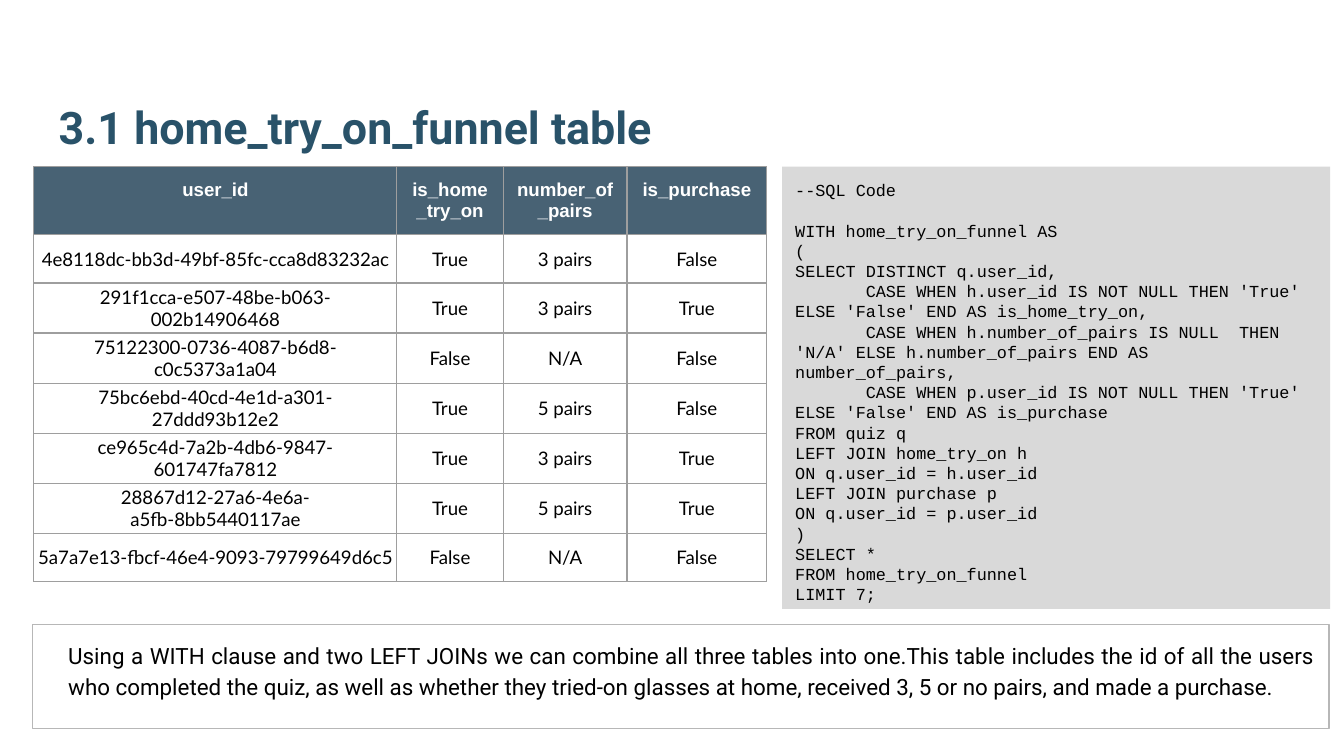
from dataclasses import dataclass

from lxml import etree
from pptx import Presentation
from pptx.dml.color import RGBColor
from pptx.enum.shapes import MSO_SHAPE
from pptx.enum.text import MSO_ANCHOR, MSO_AUTO_SIZE, PP_ALIGN
from pptx.oxml.ns import qn
from pptx.util import Cm, Pt

RECTANGLE = MSO_SHAPE.RECTANGLE
TOP, MIDDLE, BOTTOM = MSO_ANCHOR.TOP, MSO_ANCHOR.MIDDLE, MSO_ANCHOR.BOTTOM
LEFT, CENTER, JUSTIFY = PP_ALIGN.LEFT, PP_ALIGN.CENTER, PP_ALIGN.JUSTIFY
TITLE_ONLY = 5


@dataclass(frozen=True)
class TextStyle:
    font: str
    size: float
    color: str = "000000"
    bold: bool = False
    align: PP_ALIGN = LEFT


@dataclass(frozen=True)
class Theme:
    title: TextStyle = TextStyle("Roboto", 24, "295269", True)
    header: TextStyle = TextStyle("Arial", 10, "FFFFFF", True, CENTER)
    cell: TextStyle = TextStyle("Lato", 10, align=CENTER)
    code: TextStyle = TextStyle("Courier New", 9)
    note: TextStyle = TextStyle("Roboto", 12, align=JUSTIFY)
    header_fill: str = "204056"
    header_opacity: int = 82
    grid: str = "9E9E9E"
    code_fill: str = "D9D9D9"
    note_line: str = "B7B7B7"
    line_width: float = 0.75


@dataclass(frozen=True)
class Box:
    """Position and size in centimetres."""
    left: float
    top: float
    width: float
    height: float

    def lengths(self) -> tuple:
        return Cm(self.left), Cm(self.top), Cm(self.width), Cm(self.height)


THEME = Theme()
INSET, CELL_INSET = 0.25, 0.05
TITLE_BOX = Box(0.86, 0.81, 23.67, 2.34)
CODE_BOX = Box(14.78, 3.15, 10.36, 8.36)
NOTE_BOX = Box(0.61, 11.81, 24.51, 1.96)
TABLE_LEFT, TABLE_TOP = 0.64, 3.15
COLUMN_WIDTHS = (6.86, 2.01, 2.34, 2.64)
HEADER_HEIGHT, ROW_HEIGHT = 1.12, 0.91

TITLE = "3.1 home_try_on_funnel table"
HEADERS = ("user_id", "is_home_try_on", "number_of_pairs", "is_purchase")
ROWS = (
    ("4e8118dc-bb3d-49bf-85fc-cca8d83232ac", "True", "3 pairs", "False"),
    ("291f1cca-e507-48be-b063-002b14906468", "True", "3 pairs", "True"),
    ("75122300-0736-4087-b6d8-c0c5373a1a04", "False", "N/A", "False"),
    ("75bc6ebd-40cd-4e1d-a301-27ddd93b12e2", "True", "5 pairs", "False"),
    ("ce965c4d-7a2b-4db6-9847-601747fa7812", "True", "3 pairs", "True"),
    ("28867d12-27a6-4e6a-a5fb-8bb5440117ae", "True", "5 pairs", "True"),
    ("5a7a7e13-fbcf-46e4-9093-79799649d6c5", "False", "N/A", "False"),
)
CODE = """--SQL Code
WITH home_try_on_funnel AS
(
SELECT DISTINCT q.user_id,
       CASE WHEN h.user_id IS NOT NULL THEN 'True' ELSE 'False' END AS is_home_try_on,
       CASE WHEN h.number_of_pairs IS NULL  THEN 'N/A' ELSE h.number_of_pairs END AS number_of_pairs,
       CASE WHEN p.user_id IS NOT NULL THEN 'True' ELSE 'False' END AS is_purchase
FROM quiz q
LEFT JOIN home_try_on h
ON q.user_id = h.user_id
LEFT JOIN purchase p
ON q.user_id = p.user_id
)
SELECT *
FROM home_try_on_funnel
LIMIT 7;"""
NOTE = ("Using a WITH clause and two LEFT JOINs we can combine all three tables into one."
        "This table includes the id of all the users who completed the quiz, as well as "
        "whether they tried-on glasses at home, received 3, 5 or no pairs, and made a purchase.")


def write_text(frame, text: str, style: TextStyle) -> None:
    frame.text = text
    for paragraph in frame.paragraphs:
        paragraph.alignment = style.align
        font = paragraph.font
        font.name, font.size, font.bold = style.font, Pt(style.size), style.bold
        font.color.rgb = RGBColor.from_string(style.color)


def set_frame(frame, anchor: MSO_ANCHOR) -> None:
    frame.word_wrap = True
    frame.auto_size = MSO_AUTO_SIZE.NONE
    frame.vertical_anchor = anchor
    frame.margin_left = frame.margin_right = Cm(INSET)
    frame.margin_top = frame.margin_bottom = Cm(INSET)


def add_panel(slide, box: Box, text: str, style: TextStyle):
    shape = slide.shapes.add_shape(RECTANGLE, *box.lengths())
    shape.shadow.inherit = False
    shape.fill.background()
    shape.line.fill.background()
    set_frame(shape.text_frame, TOP)
    write_text(shape.text_frame, text, style)
    return shape


def set_borders(cell) -> None:
    properties = cell._tc.get_or_add_tcPr()
    for side in ("a:lnL", "a:lnR", "a:lnT", "a:lnB"):
        line = etree.SubElement(properties, qn(side), w=str(Pt(THEME.line_width)))
        fill = etree.SubElement(line, qn("a:solidFill"))
        etree.SubElement(fill, qn("a:srgbClr"), val=THEME.grid)


def fill_cell(cell, text: str, is_header: bool) -> None:
    inset = Cm(INSET if is_header else CELL_INSET)
    cell.margin_left = cell.margin_right = inset
    cell.margin_top = cell.margin_bottom = inset
    cell.vertical_anchor = TOP if is_header else MIDDLE
    write_text(cell.text_frame, text, THEME.header if is_header else THEME.cell)
    set_borders(cell)
    if not is_header:
        cell.fill.background()
        return
    cell.fill.solid()
    cell.fill.fore_color.rgb = RGBColor.from_string(THEME.header_fill)
    color = cell._tc.tcPr.find(qn("a:solidFill")).find(qn("a:srgbClr"))
    etree.SubElement(color, qn("a:alpha"), val=str(THEME.header_opacity * 1000))


def add_funnel_table(slide) -> None:
    heights = [HEADER_HEIGHT] + [ROW_HEIGHT] * len(ROWS)
    box = Box(TABLE_LEFT, TABLE_TOP, sum(COLUMN_WIDTHS), sum(heights))
    table = slide.shapes.add_table(len(heights), len(HEADERS), *box.lengths()).table
    table.horz_banding = False
    for column, width in zip(table.columns, COLUMN_WIDTHS):
        column.width = Cm(width)
    for row_index, (height, values) in enumerate(zip(heights, (HEADERS, *ROWS))):
        table.rows[row_index].height = Cm(height)
        for column_index, value in enumerate(values):
            fill_cell(table.cell(row_index, column_index), value, row_index == 0)


def main() -> None:
    presentation = Presentation()
    presentation.slide_width, presentation.slide_height = Cm(25.4), Cm(14.29)
    slide = presentation.slides.add_slide(presentation.slide_layouts[TITLE_ONLY])

    # Title
    title = slide.shapes.title
    title.left, title.top, title.width, title.height = TITLE_BOX.lengths()
    set_frame(title.text_frame, BOTTOM)
    write_text(title.text_frame, TITLE, THEME.title)

    # Query result
    add_funnel_table(slide)

    # SQL code, with a gap of one line after the comment
    code = add_panel(slide, CODE_BOX, CODE, THEME.code)
    code.fill.solid()
    code.fill.fore_color.rgb = RGBColor.from_string(THEME.code_fill)
    code.text_frame.paragraphs[1].space_before = Pt(10.8)

    # Explanation
    note = add_panel(slide, NOTE_BOX, NOTE, THEME.note)
    note.line.color.rgb = RGBColor.from_string(THEME.note_line)
    note.line.width = Pt(THEME.line_width)
    paragraph = note.text_frame.paragraphs[0]
    paragraph.line_spacing = 1.15
    paragraph._p.get_or_add_pPr().set("marL", str(Cm(0.43)))

    presentation.save("out.pptx")


if __name__ == "__main__":
    main()
